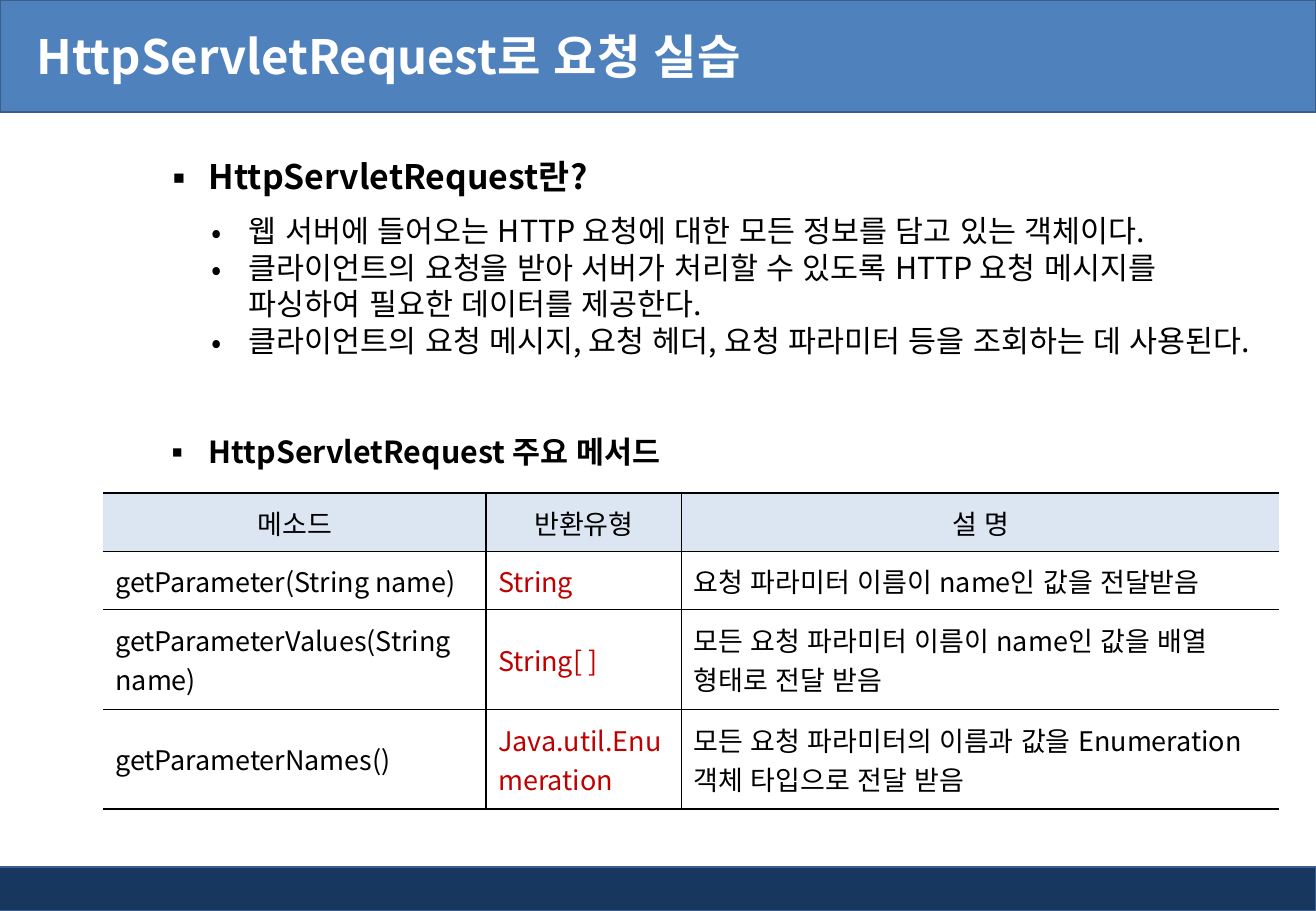
from lxml.etree import SubElement
from pptx import Presentation
from pptx.dml.color import RGBColor
from pptx.enum.lang import MSO_LANGUAGE_ID as Language
from pptx.enum.shapes import MSO_SHAPE as Shape
from pptx.enum.text import MSO_ANCHOR as Anchor, MSO_AUTO_SIZE as AutoSize, PP_ALIGN as Align
from pptx.oxml.ns import qn
from pptx.util import Emu, Pt

FONT = "Noto Sans CJK KR"
WIDTH, HEIGHT = 1083, 750
BLACK, WHITE, RED = "000000", "FFFFFF", "C00000"
HEADER_BLUE, FOOTER_BLUE, BAND_LINE, HEAD_FILL = "4F81BD", "17375E", "3A5F8C", "DCE6F2"

DEFINITION = [
    "웹 서버에 들어오는 HTTP 요청에 대한 모든 정보를 담고 있는 객체이다.",
    "클라이언트의 요청을 받아 서버가 처리할 수 있도록 HTTP 요청 메시지를 파싱하여 필요한 데이터를 제공한다.",
    "클라이언트의 요청 메시지, 요청 헤더, 요청 파라미터 등을 조회하는 데 사용된다.",
]
METHODS = [
    ("메소드", "반환유형", "설 명"),
    ("getParameter(String name)", "String", "요청 파라미터 이름이 name인 값을 전달받음"),
    ("getParameterValues(String name)", "String[ ]",
     "모든 요청 파라미터 이름이 name인 값을 배열 형태로 전달 받음"),
    ("getParameterNames()", "Java.util.Enumeration",
     "모든 요청 파라미터의 이름과 값을 Enumeration 객체 타입으로 전달 받음"),
]
COLUMN_WIDTHS = (315, 161, 492)
ROW_HEIGHTS = (48, 48, 82, 82)


def px(length):
    """Convert px to EMU, at 100 px to the inch."""
    return Emu(length * 9144)


def color(hex_code):
    return RGBColor.from_string(hex_code)


def apply(target, values):
    for name, value in values.items():
        setattr(target, name, value)


def write(paragraph, text, size, hex_code=BLACK, bold=False):
    run = paragraph.add_run()
    run.text = text
    apply(run.font, {"name": FONT, "size": Pt(size), "bold": bold,
                     "language_id": Language.KOREAN})
    run.font.color.rgb = color(hex_code)
    SubElement(run.font._element, qn("a:ea"), typeface=FONT)


def add_band(slide, box, fill):
    band = slide.shapes.add_shape(Shape.RECTANGLE, *map(px, box))
    band.shadow.inherit = False
    band.fill.solid()
    band.fill.fore_color.rgb = color(fill)
    band.line.color.rgb = color(BAND_LINE)
    band.line.width = Pt(1)


def add_header(slide, box, text):
    left, top, width, height = box
    add_band(slide, box, HEADER_BLUE)
    title = slide.shapes.title
    slide.shapes._spTree.append(title._element)  # bring the title in front of the band
    apply(title, {"left": px(left), "top": px(top - 1),
                  "width": px(width - 171), "height": px(height + 2)})
    apply(title.text_frame, {"margin_left": px(30), "vertical_anchor": Anchor.MIDDLE,
                             "auto_size": AutoSize.NONE, "word_wrap": True})
    paragraph = title.text_frame.paragraphs[0]
    paragraph.alignment = Align.LEFT
    write(paragraph, text, 28, WHITE, True)


def add_bullets(slide, box, texts, bullet, indent, size, bold=False, spacing=1.0):
    frame = slide.shapes.add_textbox(*map(px, box)).text_frame
    apply(frame, {"word_wrap": True, "auto_size": AutoSize.SHAPE_TO_FIT_TEXT})
    for index, text in enumerate(texts):
        paragraph = frame.add_paragraph() if index else frame.paragraphs[0]
        paragraph.line_spacing = spacing
        properties = paragraph._p.get_or_add_pPr()
        properties.set("marL", str(px(indent)))
        properties.set("indent", str(px(-indent)))
        SubElement(properties, qn("a:buFont"), typeface=FONT)
        SubElement(properties, qn("a:buChar"), char=bullet)
        write(paragraph, text, size, bold=bold)


def add_borders(cell, sides):
    """Rule the named sides of a cell and clear the others."""
    properties = cell._tc.get_or_add_tcPr()
    for side in "LRTB":
        line = SubElement(properties, qn(f"a:ln{side}"), w=str(Pt(1)))
        if side in sides:
            fill = SubElement(line, qn("a:solidFill"))
            SubElement(fill, qn("a:srgbClr"), val=BLACK)
        else:
            SubElement(line, qn("a:noFill"))


def add_method_table(slide, box):
    table = slide.shapes.add_table(len(METHODS), len(COLUMN_WIDTHS), *map(px, box)).table
    apply(table, {"first_row": False, "horz_banding": False})
    for column, width in zip(table.columns, COLUMN_WIDTHS):
        column.width = px(width)
    for row, height in zip(table.rows, ROW_HEIGHTS):
        row.height = px(height)
    for row_index, texts in enumerate(METHODS):
        is_head = row_index == 0
        for column_index, (text, sides) in enumerate(zip(texts, ("RTB", "LRTB", "LTB"))):
            cell = table.cell(row_index, column_index)
            cell.vertical_anchor = Anchor.MIDDLE
            add_borders(cell, sides)
            cell.fill.solid()
            cell.fill.fore_color.rgb = color(HEAD_FILL if is_head else WHITE)
            paragraph = cell.text_frame.paragraphs[0]
            paragraph.alignment = Align.CENTER if is_head else Align.LEFT
            is_type = column_index == 1 and not is_head
            write(paragraph, text, 16, RED if is_type else BLACK)


def add_body(slide, box):
    left, top, width, _ = box
    heading = {"bullet": "▪", "indent": 38, "bold": True, "spacing": 1.5}
    add_bullets(slide, (left + 39, top, 780, 54), ["HttpServletRequest란?"], size=20, **heading)
    add_bullets(slide, (left + 79, top + 63, 874, 162), DEFINITION, "•", 31, 18)
    add_bullets(slide, (left + 39, top + 230, 488, 56), ["HttpServletRequest 주요 메서드"],
                size=18, **heading)
    add_method_table(slide, (left, top + 299, width, sum(ROW_HEIGHTS)))


def main():
    presentation = Presentation()
    apply(presentation, {"slide_width": px(WIDTH), "slide_height": px(HEIGHT)})
    slide = presentation.slides.add_slide(presentation.slide_layouts[5])
    add_band(slide, (-4, 714, WIDTH + 4, 36), FOOTER_BLUE)
    add_header(slide, (0, 0, WIDTH, 92), "HttpServletRequest로 요청 실습")
    add_body(slide, (85, 107, sum(COLUMN_WIDTHS), 559))
    presentation.save("out.pptx")


if __name__ == "__main__":
    main()
